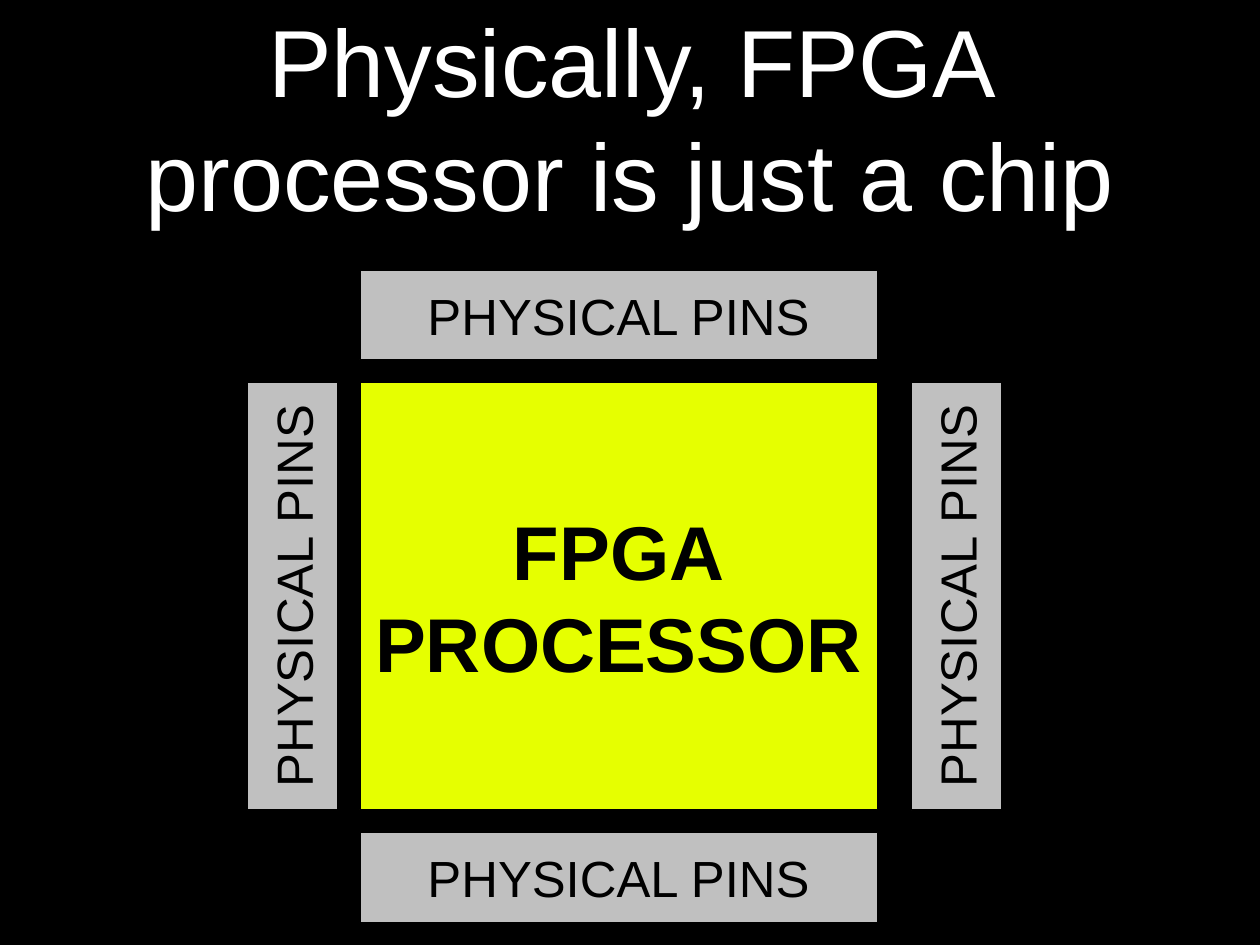
from pptx import Presentation
from pptx.dml.color import RGBColor
from pptx.enum.shapes import MSO_SHAPE
from pptx.enum.text import MSO_ANCHOR, PP_ALIGN
from pptx.util import Pt

RECTANGLE = MSO_SHAPE.RECTANGLE
MIDDLE = MSO_ANCHOR.MIDDLE
CENTER = PP_ALIGN.CENTER
BLACK, WHITE, YELLOW, GRAY = "000000", "FFFFFF", "E6FF00", "C0C0C0"


def color(hex_string):
    return RGBColor.from_string(hex_string)


def write(shape, text, size, text_color, bold=False):
    frame = shape.text_frame
    frame.word_wrap = True
    frame.vertical_anchor = MIDDLE
    frame.text = text
    for paragraph in frame.paragraphs:
        paragraph.alignment = CENTER
        for run in paragraph.runs:
            run.font.name = "Arial"
            run.font.size = Pt(size)
            run.font.bold = bold
            run.font.color.rgb = color(text_color)


presentation = Presentation()
presentation.slide_width = Pt(793.7)
presentation.slide_height = Pt(595.28)
slide = presentation.slides.add_slide(presentation.slide_layouts[6])
slide.background.fill.solid()
slide.background.fill.fore_color.rgb = color(BLACK)

# Title
title = slide.shapes.add_textbox(Pt(39.69), Pt(6.48), Pt(714.33), Pt(133.92))
frame = title.text_frame
frame.margin_left = frame.margin_right = frame.margin_top = frame.margin_bottom = 0
write(title, "Physically, FPGA processor is just a chip", 60, WHITE)

# Chip with a bank of pins along each side
chip_left, chip_top, chip_width, chip_height = 226.77, 240.94, 325.98, 269.29
pin_depth = 56.69
side_top = chip_top + (chip_height - pin_depth) / 2
pins = "PHYSICAL PINS"
blocks = [
    # left, top, width, height, rotation, fill, text, size, bold
    (chip_left, chip_top, chip_width, chip_height, 0, YELLOW, "FPGA\nPROCESSOR", 48, True),
    (chip_left, 170.08, chip_width, pin_depth, 0, GRAY, pins, 32, False),
    (chip_left, 524.41, chip_width, pin_depth, 0, GRAY, pins, 32, False),
    (467.72, side_top, chip_height, pin_depth, 270, GRAY, pins, 32, False),
    (49.61, side_top, chip_height, pin_depth, 270, GRAY, pins, 32, False),
]
for left, top, width, height, rotation, fill, text, size, bold in blocks:
    block = slide.shapes.add_shape(RECTANGLE, Pt(left), Pt(top), Pt(width), Pt(height))
    block.rotation = rotation
    block.shadow.inherit = False
    block.fill.solid()
    block.fill.fore_color.rgb = color(fill)
    block.line.color.rgb = color(BLACK)
    block.line.width = Pt(0)
    write(block, text, size, BLACK, bold)

presentation.save("out.pptx")
